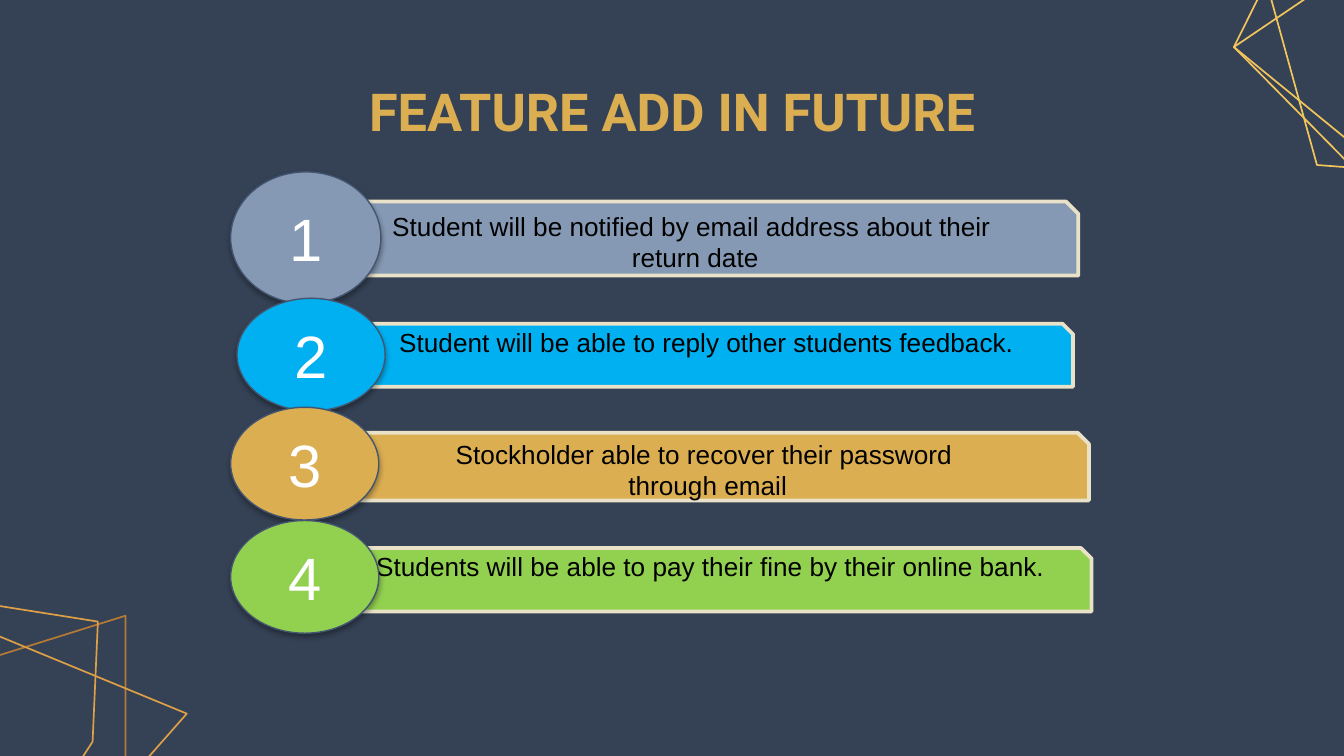
from lxml.etree import SubElement
from pptx import Presentation
from pptx.dml.color import RGBColor
from pptx.enum.shapes import MSO_SHAPE
from pptx.enum.text import MSO_ANCHOR, PP_ALIGN
from pptx.oxml.ns import qn
from pptx.util import Cm, Pt

TITLE = "FEATURE ADD IN FUTURE"
GOLD = "DCAE52"
FEATURES = [
    dict(lines=["Student will be notified by email address about their", " return date"],
         color="8599B4", bar=(5.88, 3.81, 14.5, 1.4), badge=(4.36, 3.25, 2.84, 2.49)),
    dict(lines=["Student will be able to reply other students feedback."],
         color="00B0F0", bar=(5.98, 6.12, 14.3, 1.19), badge=(4.48, 5.64, 2.8, 2.13), indent=0.55),
    dict(lines=["Stockholder able to recover their password ", "through email"],
         color=GOLD, bar=(6.28, 8.18, 14.3, 1.28), badge=(4.36, 7.7, 2.8, 2.13)),
    dict(lines=["Students will be able to pay their fine by their online bank."],
         color="92D050", bar=(6.33, 10.36, 14.3, 1.2), badge=(4.36, 9.84, 2.8, 2.13)),
]
ORNAMENTS = [
    ("B67A36", [(-3.89, 22.82), (-8.27, 14.97), (2.37, 11.64), (2.37, 16.33)]),
    ("F2C55C", [(23.72, -1.12), (26.47, -2.46), (29.9, 0.56), (30.7, 2.81),
                (29.36, 3.45), (24.89, 3.12)]),
    ("F2C55C", [(23.32, 0.89), (24.33, -1.14), (30.5, 0.53), (30.9, 4.34), (25.5, 3.1)]),
    ("F2C55C", [(23.32, 0.89), (28.17, -2.39), (30.9, 4.34), (27.86, 4.6)]),
    ("DDA047", [(-8.48, 18.21), (-8.31, 13.54), (-1.75, 11.18), (1.85, 11.75),
                (1.75, 14.02), (-1.98, 19.76)]),
    ("DDA047", [(-6.63, 21.13), (-8.59, 18.31), (-1.83, 11.28), (3.53, 13.49),
                (-2.06, 19.84)]),
]


def rgb(color):
    return RGBColor.from_string(color)


def write(sp, lines, font, size, color, bold=False):
    tf = sp.text_frame
    tf.word_wrap = True
    tf.vertical_anchor = MSO_ANCHOR.MIDDLE
    for i, line in enumerate(lines):
        p = tf.paragraphs[0] if i == 0 else tf.add_paragraph()
        p.text = line
        p.alignment = PP_ALIGN.CENTER
        p.font.name, p.font.size, p.font.bold = font, Pt(size), bold
        p.font.color.rgb = rgb(color)
    return tf


def add_box(s, kind, box, fill, line, width):
    sp = s.shapes.add_shape(kind, *map(Cm, box))
    sp.shadow.inherit = False
    sp.fill.solid()
    sp.fill.fore_color.rgb = rgb(fill)
    sp.line.color.rgb = rgb(line)
    sp.line.width = Pt(width)
    return sp


def add_shadow(sp):
    effects = sp._element.spPr.find(qn("a:effectLst"))
    shadow = SubElement(effects, qn("a:outerShdw"), blurRad=str(Pt(3.1)),
                        dist=str(Pt(1.8)), dir="5400000", rotWithShape="0")
    color = SubElement(shadow, qn("a:srgbClr"), val="000000")
    SubElement(color, qn("a:alpha"), val="35000")


def add_ornament(s, color, points):
    start, *rest = [(Cm(x), Cm(y)) for x, y in points]
    builder = s.shapes.build_freeform(*start)
    builder.add_line_segments(rest, close=True)
    sp = builder.convert_to_shape()
    sp.shadow.inherit = False
    sp.fill.background()
    sp.line.color.rgb = rgb(color)
    sp.line.width = Pt(0.9)


def add_feature(s, number, lines, color, bar, badge, indent=0):
    sp = add_box(s, MSO_SHAPE.SNIP_1_RECTANGLE, bar, color, "E9E2C9", 2)
    tf = write(sp, lines, "Arial", 14, "000000")
    tf.margin_left = Cm(0.25 + indent)
    if len(lines) == 1:
        tf.vertical_anchor = MSO_ANCHOR.TOP
        tf.margin_top = Cm(-0.05)
    sp = add_box(s, MSO_SHAPE.OVAL, badge, color, "435570", 0.75)
    add_shadow(sp)
    write(sp, [str(number)], "Arial", 32, "FFFFFF")


def main():
    prs = Presentation()
    prs.slide_width, prs.slide_height = Cm(25.4), Cm(14.29)
    s = prs.slides.add_slide(prs.slide_layouts[6])
    s.background.fill.solid()
    s.background.fill.fore_color.rgb = rgb("354255")
    for color, points in ORNAMENTS:
        add_ornament(s, color, points)
    title = s.shapes.add_textbox(Cm(5.55), Cm(1.5), Cm(14.3), Cm(1.19))
    write(title, [TITLE], "Roboto", 28, GOLD, bold=True)
    for number, feature in enumerate(FEATURES, 1):
        add_feature(s, number, **feature)
    prs.save("out.pptx")


if __name__ == "__main__":
    main()
